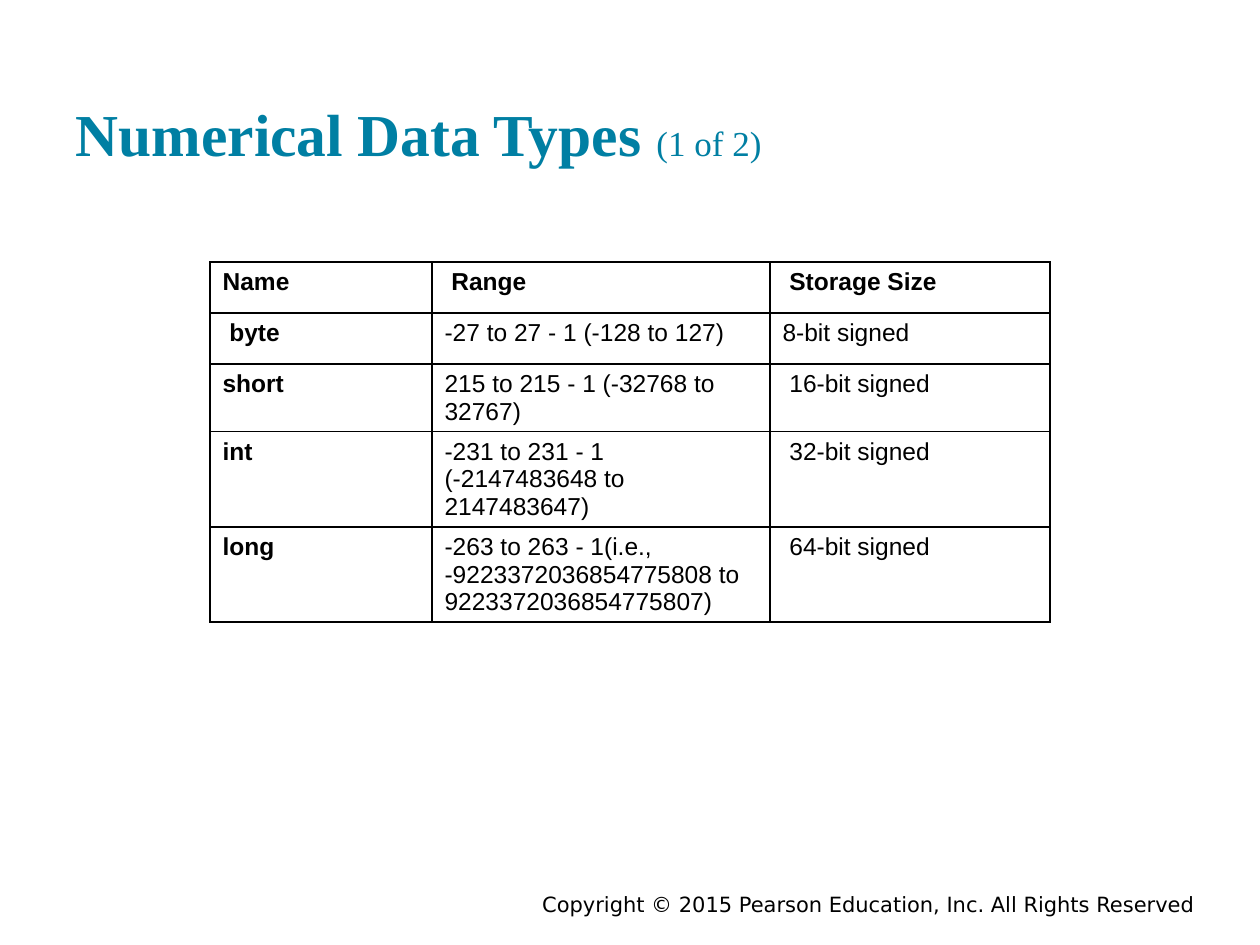
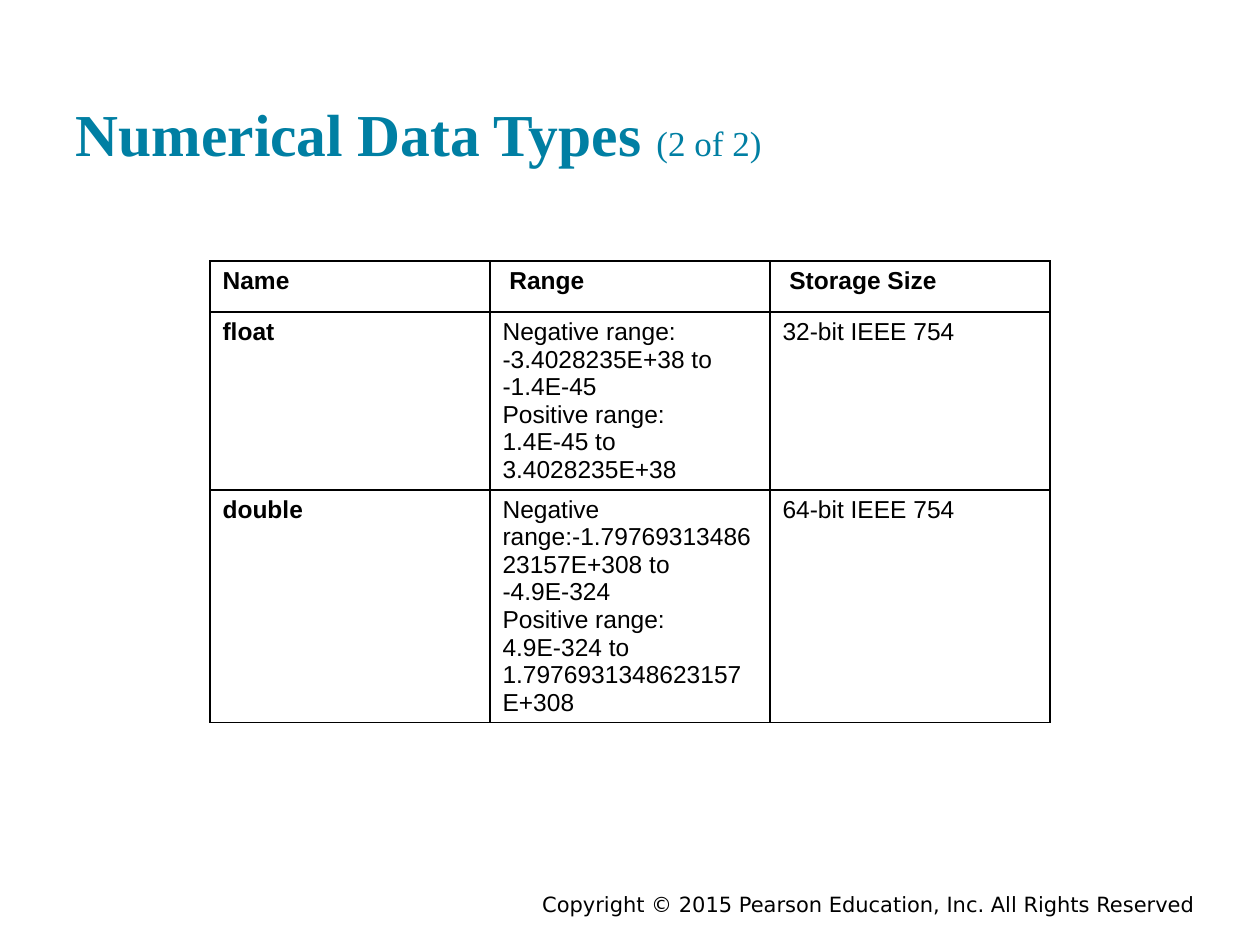
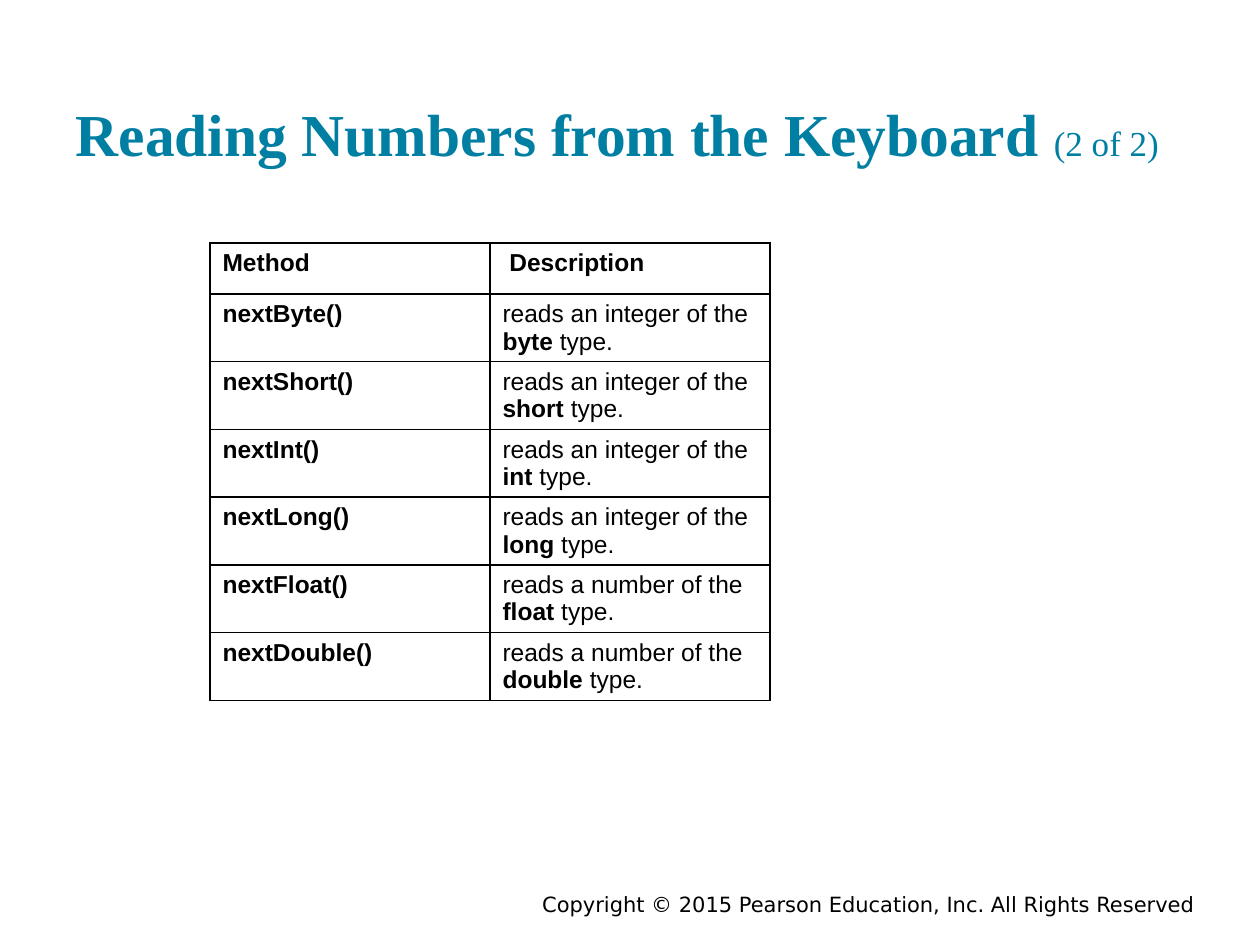
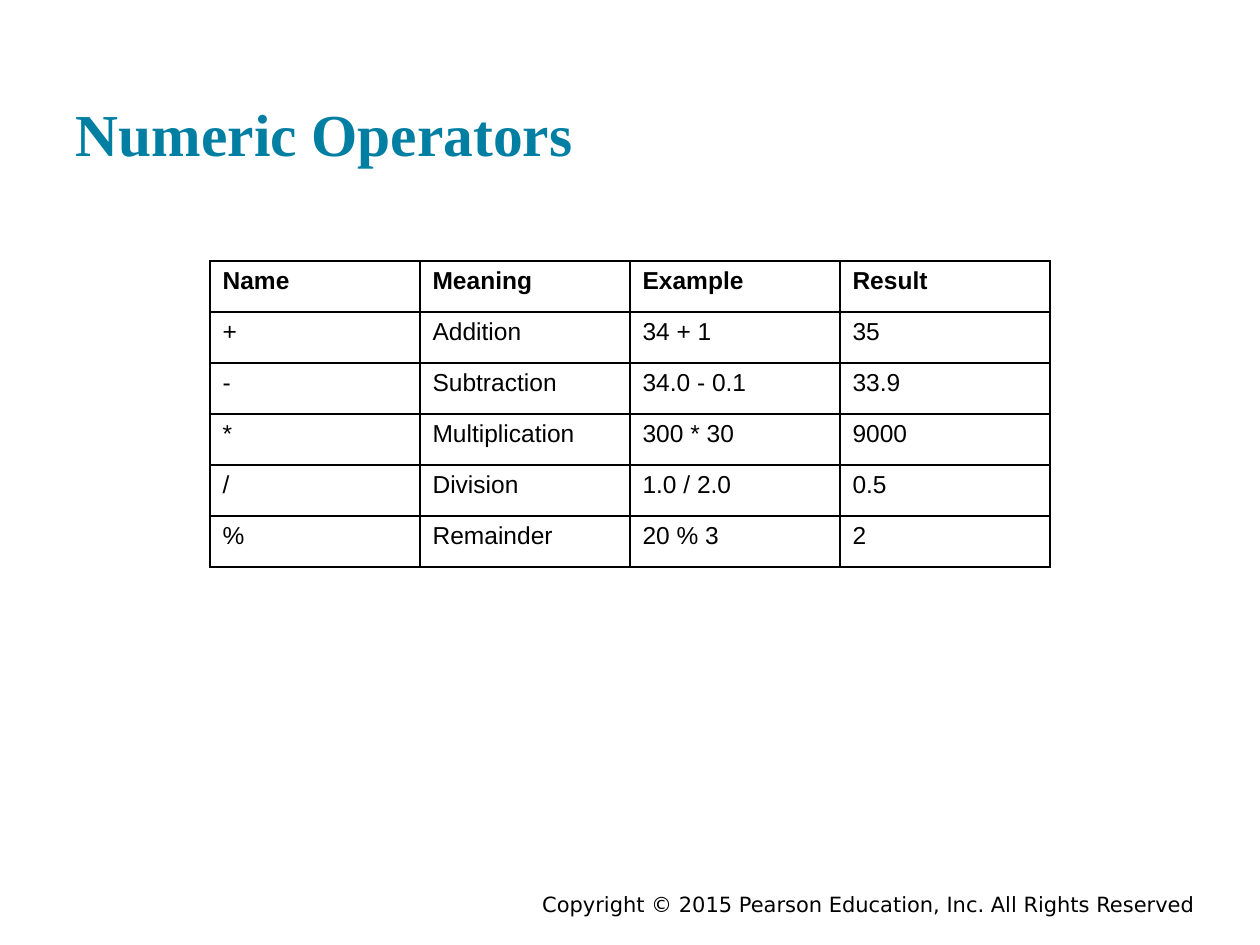
from dataclasses import dataclass

from lxml import etree
from pptx import Presentation
from pptx.dml.color import RGBColor
from pptx.enum.text import MSO_ANCHOR, MSO_AUTO_SIZE, PP_ALIGN
from pptx.oxml.ns import qn
from pptx.util import Emu, Pt

LEFT, RIGHT = PP_ALIGN.LEFT, PP_ALIGN.RIGHT
BOTTOM = MSO_ANCHOR.BOTTOM
NO_FIT = MSO_AUTO_SIZE.NONE
PX = 914400 / 126
TITLE_ONLY = 5
FOOTER = "Copyright © 2015 Pearson Education, Inc. All Rights Reserved"


@dataclass(frozen=True)
class Theme:
    """Colours, fonts and sizes shared by all slides."""
    accent: str = "007FA3"
    ink: str = "000000"
    paper: str = "FFFFFF"
    title_font: str = "Times New Roman"
    table_font: str = "Arial"
    footer_font: str = "DejaVu Sans"
    title_size: int = 34
    part_size: int = 20
    table_size: int = 14
    footer_size: int = 12
    border: int = 1


def px(n):
    """Turn px into EMU."""
    return Emu(round(n * PX))


class Deck:
    """Builds slides in one style."""

    def __init__(self, theme):
        self.theme = theme
        self.prs = Presentation()
        self.prs.slide_width, self.prs.slide_height = px(1260), px(945)
        bg = self.prs.slide_master.background.fill
        bg.solid()
        bg.fore_color.rgb = RGBColor.from_string(theme.paper)

    def slide(self, title, part=""):
        """Start a slide with its footer and title."""
        layout = self.prs.slide_layouts[TITLE_ONLY]
        self.s = self.prs.slides.add_slide(layout)
        self.footer()
        self.title(title, part)

    def style(self, p, name, color, size=None):
        """Set the font that a whole paragraph shares."""
        p.font.name = name
        p.font.color.rgb = RGBColor.from_string(color)
        if size:
            p.font.size = Pt(size)

    def frame(self, sp, margin_y):
        """Give a text frame its margins and wrapping."""
        tf = sp.text_frame
        tf.word_wrap = True
        tf.auto_size = NO_FIT
        tf.margin_left = tf.margin_right = px(13)
        tf.margin_top = tf.margin_bottom = px(margin_y)
        return tf

    def title(self, text, part):
        """Fill the title, with an optional lighter part number."""
        t = self.theme
        sp = self.s.shapes.title
        sp.left, sp.top, sp.width, sp.height = map(px, (63, 30, 1134, 151))
        tf = self.frame(sp, 13)
        tf.vertical_anchor = BOTTOM
        p = tf.paragraphs[0]
        p.alignment = LEFT
        self.style(p, t.title_font, t.accent)
        runs = [(text, t.title_size, True)]
        if part:
            runs = [(text + " ", t.title_size, True), (part, t.part_size, False)]
        for words, size, bold in runs:
            r = p.add_run()
            r.text = words
            r.font.size = Pt(size)
            r.font.bold = bold

    def footer(self):
        """Add the copyright line."""
        t = self.theme
        sp = self.s.shapes.add_textbox(*map(px, (221, 886, 987, 28)))
        p = self.frame(sp, 6).paragraphs[0]
        p.text = FOOTER
        p.alignment = RIGHT
        self.style(p, t.footer_font, t.ink, t.footer_size)

    def table(self, top, cols, rows, bold_names=True, left=210, row_height=51):
        """Add a ruled table with a bold header row."""
        gf = self.s.shapes.add_table(
            len(rows), len(cols), px(left), px(top),
            px(sum(cols)), px(row_height * len(rows)))
        tbl = gf.table
        tbl.first_row = tbl.horz_banding = False
        for column, width in zip(tbl.columns, cols):
            column.width = px(width)
        for i, row in enumerate(rows):
            for j, text in enumerate(row):
                bold = i == 0 or (j == 0 and bold_names)
                self.cell(tbl.cell(i, j), text, bold)

    def cell(self, cell, text, bold):
        """Fill a cell; newlines part paragraphs and bars switch the weight."""
        t = self.theme
        cell.fill.background()
        self.borders(cell)
        tf = cell.text_frame
        for i, line in enumerate(text.split("\n")):
            p = tf.add_paragraph() if i else tf.paragraphs[0]
            self.style(p, t.table_font, t.ink, t.table_size)
            for k, words in enumerate(line.split("|")):
                r = p.add_run()
                r.text = words
                r.font.bold = bold != (k % 2 == 1)

    def borders(self, cell):
        """Rule all four sides of a cell."""
        tc_pr = cell._tc.get_or_add_tcPr()
        for i, side in enumerate(("a:lnL", "a:lnR", "a:lnT", "a:lnB")):
            ln = etree.Element(qn(side), w=str(Pt(self.theme.border)))
            fill = etree.SubElement(ln, qn("a:solidFill"))
            etree.SubElement(fill, qn("a:srgbClr"), val=self.theme.ink)
            tc_pr.insert(i, ln)


def main():
    """Build and save the deck."""
    deck = Deck(Theme())
    type_header = ("Name", " Range", " Storage Size")

    deck.slide("Numerical Data Types", "(1 of 2)")
    deck.table(262, (222, 338, 280), [
        type_header,
        (" byte", "-27 to 27 - 1 (-128 to 127)", "8-bit signed"),
        ("short", "215 to 215 - 1 (-32768 to 32767)", " 16-bit signed"),
        ("int", "-231 to 231 - 1 (-2147483648 to 2147483647)",
         " 32-bit signed"),
        ("long", "-263 to 263 - 1(i.e., -9223372036854775808 to "
         "9223372036854775807)", " 64-bit signed"),
    ])

    deck.slide("Numerical Data Types", "(2 of 2)")
    deck.table(261, (280,) * 3, [
        type_header,
        ("float", "Negative range: -3.4028235E+38 to -1.4E-45\n"
         "Positive range:\n1.4E-45 to 3.4028235E+38", "32-bit IEEE 754"),
        ("double", "Negative range:-1.7976931348623157E+308 to -4.9E-324\n"
         "Positive range:\n4.9E-324 to 1.7976931348623157E+308",
         "64-bit IEEE 754"),
    ])

    deck.slide("Reading Numbers from the Keyboard", "(2 of 2)")
    kinds = [(name, "an integer") for name in ("byte", "short", "int", "long")]
    kinds += [(name, "a number") for name in ("float", "double")]
    deck.table(243, (280,) * 2, [("Method", " Description")] + [
        (f"next{name.capitalize()}()", f"reads {kind} of the |{name}| type.")
        for name, kind in kinds
    ])

    deck.slide("Numeric Operators")
    deck.table(261, (210,) * 4, [
        ("Name", "Meaning", "Example", "Result"),
        ("+", "Addition", "34 + 1", "35"),
        ("-", "Subtraction", "34.0 - 0.1", "33.9"),
        ("*", "Multiplication", "300 * 30", "9000"),
        ("/", "Division", "1.0 / 2.0", "0.5"),
        ("%", "Remainder", "20 % 3", "2"),
    ], bold_names=False)

    deck.prs.save("out.pptx")


if __name__ == "__main__":
    main()
